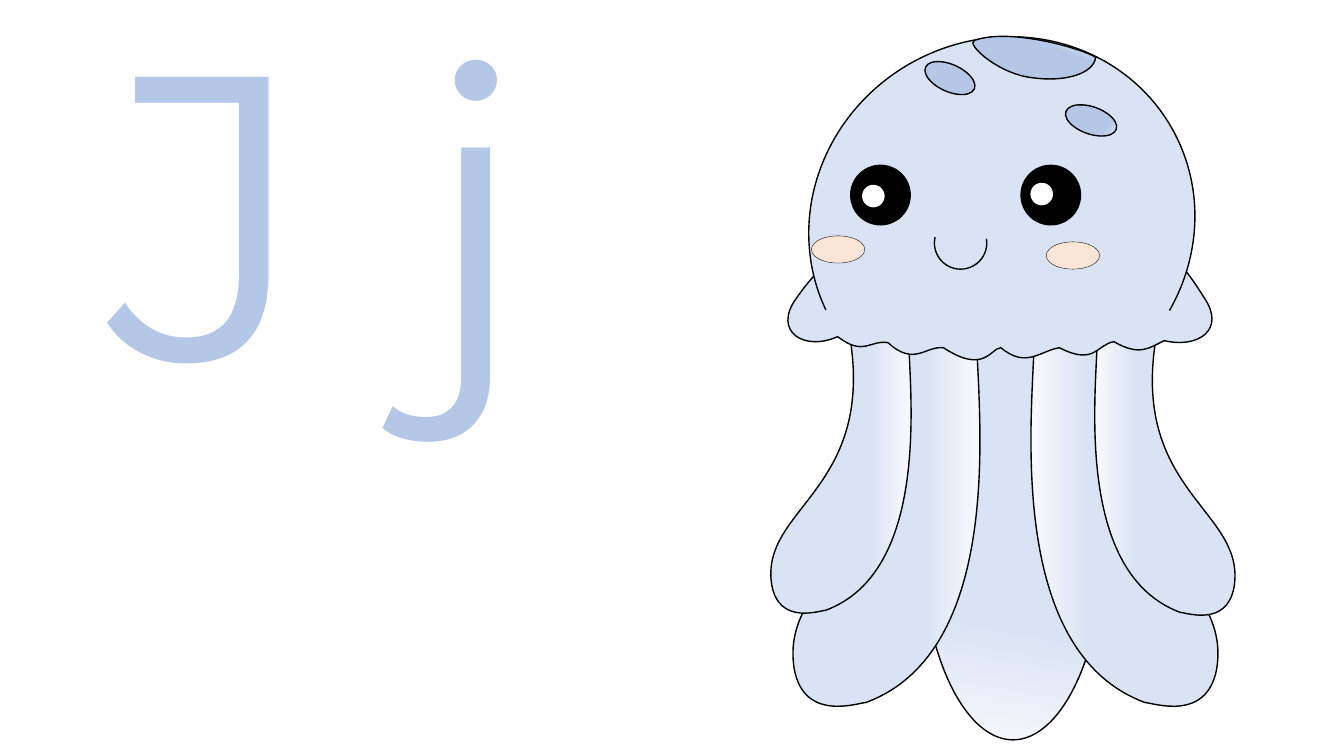
"""Build an alphabet slide with the letters J j and a smiling jellyfish."""
from pptx import Presentation
from pptx.dml.color import RGBColor
from pptx.enum import shapes, text
from pptx.oxml import ns, xmlchemy
from pptx.util import Inches, Pt
from lxml import etree

BLUE = RGBColor(0xB4, 0xC7, 0xE7)
PALE = RGBColor(0xDA, 0xE3, 0xF3)
LIGHT = RGBColor(0xF6, 0xF8, 0xFC)
PEACH = RGBColor(0xFB, 0xE5, 0xD6)
BLACK = RGBColor(0, 0, 0)
WHITE = RGBColor(0xFF, 0xFF, 0xFF)

OVAL = shapes.MSO_SHAPE.OVAL
ARC = shapes.MSO_SHAPE.ARC

# Each outline is a list of segments: one point is a corner, three are a cubic curve.
TENTACLE = [
    [(1.05, 0.13)],
    [(1.05, 0.06), (1.1, 0), (1.18, 0)],
    [(1.69, 0)],
    [(1.76, 0), (1.82, 0.06), (1.82, 0.13)],
    [(1.84, 0.86), (2.1, 3.19), (0.72, 3.7)],
    [(0.65, 3.7), (0.11, 3.9), (0.01, 3.37)],
    [(-0.16, 2.36), (1.35, 2.13), (1.05, 0.13)],
]
SKIRT = [
    [(10, 2.08)],
    [(8.57, 2.1), (8.14, 2.62), (7.9, 2.96)],
    [(7.66, 3.29), (7.98, 3.49), (8.31, 3.34)],
    [(8.57, 3.54), (8.63, 3.37), (8.81, 3.4)],
    [(9.07, 3.64), (9.18, 3.43), (9.36, 3.45)],
    [(9.77, 3.72), (9.83, 3.45), (9.93, 3.45)],
    [(10.18, 3.66), (10.32, 3.48), (10.51, 3.45)],
    [(10.86, 3.63), (10.88, 3.42), (11.05, 3.39)],
    [(11.31, 3.54), (11.4, 3.45), (11.55, 3.38)],
    [(11.89, 3.46), (12.16, 3.27), (11.95, 2.96)],
    [(11.75, 2.65), (11.43, 2.05), (10, 2.08)],
]
CROWN_SPOT = [
    [(10.87, 0.57)],
    [(10.78, 0.5), (10.04, 0.27), (9.67, 0.4)],
    [(9.57, 0.43), (9.9, 0.73), (10.23, 0.77)],
    [(10.57, 0.82), (10.85, 0.73), (10.87, 0.57)],
]


def style(sp, fill, line=BLACK, width=1, angle=None):
    sp.shadow.inherit = False
    if fill is None:
        sp.fill.background()
    elif angle is None:
        sp.fill.solid()
        sp.fill.fore_color.rgb = fill
    else:
        sp.fill.gradient()
        sp.fill.gradient_angle = (360 - angle) % 360
        for stop, position, color in zip(sp.fill.gradient_stops, (0, 0.29), (LIGHT, fill)):
            stop.position = position
            stop.color.rgb = color
    if line is None:
        sp.line.fill.background()
    else:
        sp.line.color.rgb = line
        sp.line.width = Pt(width)


def add_preset(s, kind, box, fill, rotation=0, adjustments=(), **look):
    sp = s.shapes.add_shape(kind, *map(Inches, box))
    sp.element.spPr.xfrm.set("flipH", "1")
    sp.rotation = rotation
    for i, value in enumerate(adjustments):
        sp.adjustments[i] = value
    style(sp, fill, **look)


def add_outline(s, outline, fill, angle=None):
    segments = [[tuple(map(Inches, point)) for point in segment] for segment in outline]
    builder = s.shapes.build_freeform(*segments[0][0])
    builder.add_line_segments([segment[-1] for segment in segments[1:]], close=True)
    sp = builder.convert_to_shape()
    lines = list(sp.element.iter(ns.qn("a:lnTo")))
    for node, segment in zip(lines, segments[1:]):
        if len(segment) == 3:
            curve = etree.SubElement(node.getparent(), ns.qn("a:cubicBezTo"))
            for x, y in segment:
                etree.SubElement(curve, ns.qn("a:pt"), x=str(x - sp.left), y=str(y - sp.top))
            node.getparent().replace(node, curve)
    style(sp, fill, angle=angle)


def add_tentacle(s, edge, top, scale, side):
    outline = [[(edge + side * scale * x, top + scale * y) for x, y in segment]
               for segment in TENTACLE]
    add_outline(s, outline, PALE, 180 if side > 0 else 0)


def add_eye(s, left, glint_left, glint_top):
    add_preset(s, OVAL, (left, 1.64, 0.59, 0.59), BLACK)
    add_preset(s, OVAL, (glint_left, glint_top, 0.21, 0.21), WHITE, line=WHITE)


def add_letters(s):
    sp = s.shapes.title
    sp.left, sp.top, sp.width, sp.height = map(Inches, (0.99, -0.49, 7.93, 4.98))
    tf = sp.text_frame
    tf.text = "J j"
    tf.word_wrap = True
    tf.auto_size = text.MSO_AUTO_SIZE.SHAPE_TO_FIT_TEXT
    tf.vertical_anchor = text.MSO_ANCHOR.TOP
    p = tf.paragraphs[0]
    p.alignment = text.PP_ALIGN.LEFT
    p.line_spacing = 1.0
    r = p.runs[0]
    r.font.name = "Montserrat"
    r.font.size = Pt(290)
    r.font.color.rgb = BLUE


def add_jellyfish(s):
    add_preset(s, OVAL, (9.13, 3.16, 1.84, 4.18), PALE, angle=260)
    for edge, top, scale, side in (
            (12.08, 3.27, 1, -1), (12.25, 3.3, 0.75, -1),
            (7.87, 3.27, 1, 1), (7.65, 3.28, 0.75, 1)):
        add_tentacle(s, edge, top, scale, side)

    add_outline(s, SKIRT, PALE)
    add_preset(s, shapes.MSO_SHAPE.RECTANGLE, (8.17, 2, 3.4, 1.08), PALE, line=None)
    add_preset(s, ARC, (8.1, 0.29, 3.68, 3.88), PALE, 60.1, (127.8, 51.54))

    add_outline(s, CROWN_SPOT, BLUE, 110)
    add_preset(s, OVAL, (10.56, 1.06, 0.53, 0.27), BLUE, 19.4, angle=340)
    add_preset(s, OVAL, (9.16, 0.64, 0.53, 0.27), BLUE, 24.1, angle=260)

    add_preset(s, ARC, (9.27, 2.15, 0.52, 0.52), None, 211, (119, 24.02))
    add_eye(s, 10.13, 10.23, 1.82)
    add_eye(s, 8.44, 8.56, 1.84)
    for left, top in ((10.38, 2.4), (8.05, 2.34)):
        add_preset(s, OVAL, (left, top, 0.53, 0.27), PEACH, width=0.25)


def main():
    prs = Presentation()
    prs.slide_width, prs.slide_height = Inches(40 / 3), Inches(7.5)
    s = prs.slides.add_slide(prs.slide_layouts[5])
    add_letters(s)
    add_jellyfish(s)
    prs.save("out.pptx")


if __name__ == "__main__":
    main()
